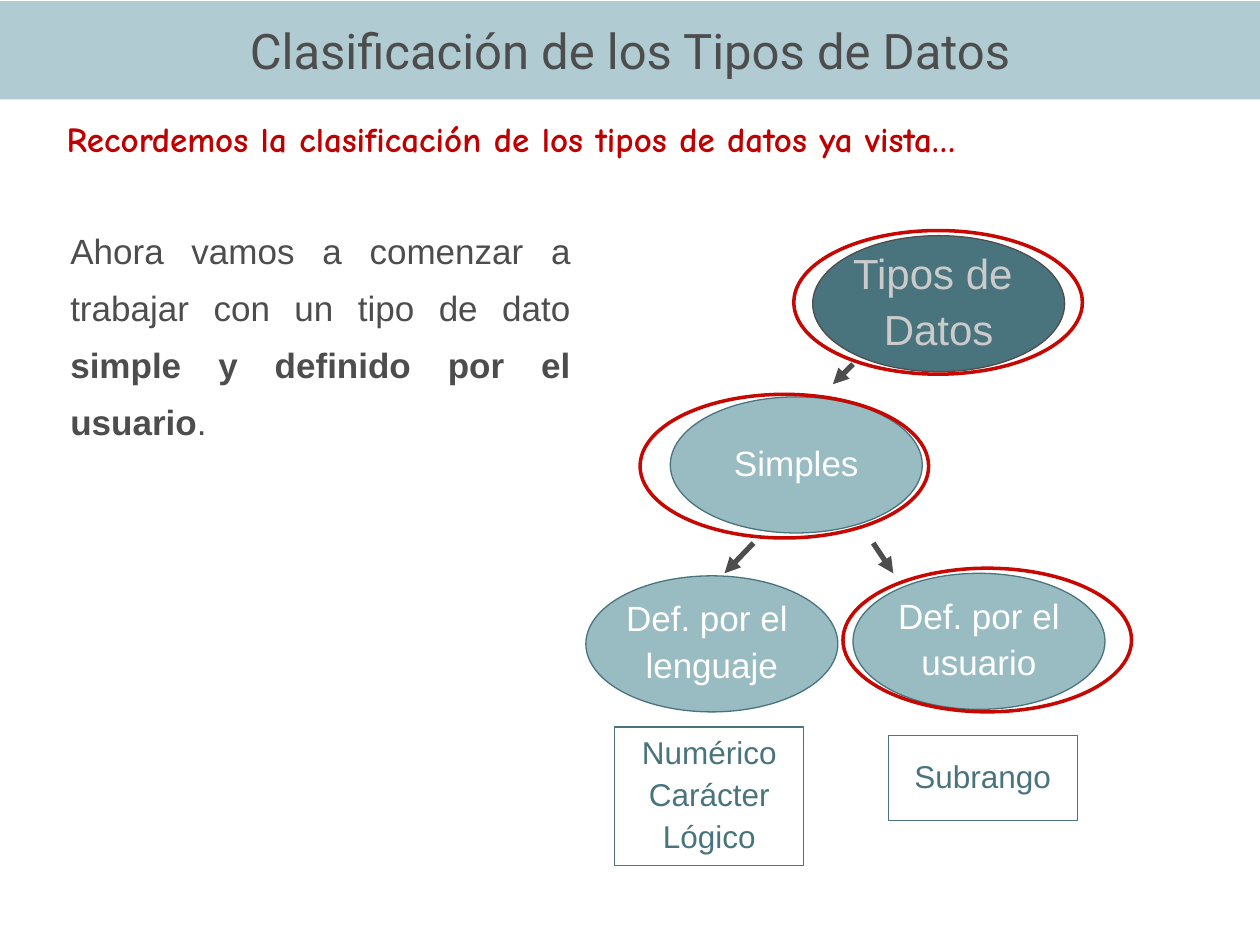
from dataclasses import dataclass

from lxml import etree
from pptx import Presentation
from pptx import util as u
from pptx.dml import color
from pptx.enum import shapes, text
from pptx.oxml import ns

DARK, TEAL, LIGHT, BAND = "4D4D4D", "49747D", "99BCC3", "B0CBD1"
WHITE, GREY, RED, RING_RED = "FFFFFF", "CBCBCB", "C00000", "C60702"
OVAL, RECTANGLE = shapes.MSO_SHAPE.OVAL, shapes.MSO_SHAPE.RECTANGLE
CENTER, JUSTIFY = text.PP_ALIGN.CENTER, text.PP_ALIGN.JUSTIFY


@dataclass
class Box:
    left: float
    top: float
    width: float
    height: float

    def lengths(self) -> list:
        return [u.Inches(v) for v in (self.left, self.top, self.width, self.height)]


@dataclass
class Style:
    size: float
    color: str
    font: str = "Arial"
    align: text.PP_ALIGN = CENTER
    spacing: float = 0.9
    bold: bool = False


@dataclass
class Node:
    box: Box
    lines: list[str]
    style: Style
    fill: str = LIGHT
    line: str = TEAL
    kind: shapes.MSO_SHAPE = OVAL


@dataclass
class Arrow:
    start: tuple[float, float]
    end: tuple[float, float]


def rgb(value: str) -> color.RGBColor:
    return color.RGBColor.from_string(value)


def add_paragraph(paragraph, runs: list[tuple[str, bool]], style: Style,
                  space_before: float):
    paragraph.alignment = style.align
    paragraph.line_spacing = style.spacing
    paragraph.space_before = u.Pt(space_before)
    for words, bold in runs:
        run = paragraph.add_run()
        run.text = words
        run.font.size = u.Pt(style.size)
        run.font.name = style.font
        run.font.bold = bold
        run.font.color.rgb = rgb(style.color)


def add_outline(slide, kind: shapes.MSO_SHAPE, box: Box, fill: str | None,
                line: str | None, width: float = 0.75):
    shape = slide.shapes.add_shape(kind, *box.lengths())
    shape.shadow.inherit = False
    if fill:
        shape.fill.solid()
        shape.fill.fore_color.rgb = rgb(fill)
    else:
        shape.fill.background()
    if line:
        shape.line.color.rgb = rgb(line)
        shape.line.width = u.Pt(width)
    else:
        shape.line.fill.background()
    return shape


def add_node(slide, node: Node):
    shape = add_outline(slide, node.kind, node.box, node.fill, node.line)
    frame = shape.text_frame
    frame.word_wrap = False
    frame.vertical_anchor = text.MSO_ANCHOR.MIDDLE
    for index, line in enumerate(node.lines):
        paragraph = frame.add_paragraph() if index else frame.paragraphs[0]
        add_paragraph(paragraph, [(line, node.style.bold)], node.style,
                      node.style.size / 4)


def add_text(slide, box: Box, runs: list[tuple[str, bool]], style: Style):
    frame = slide.shapes.add_textbox(*box.lengths()).text_frame
    frame.word_wrap = True
    add_paragraph(frame.paragraphs[0], runs, style, style.size / 4)


def add_arrow(slide, arrow: Arrow):
    ends = [u.Inches(v) for v in (*arrow.start, *arrow.end)]
    connector = slide.shapes.add_connector(shapes.MSO_CONNECTOR.STRAIGHT, *ends)
    connector.line.color.rgb = rgb(DARK)
    connector.line.width = u.Pt(3)
    line = connector.line._get_or_add_ln()
    etree.SubElement(line, ns.qn("a:tailEnd"), type="triangle")
    etree.SubElement(connector._element.spPr, ns.qn("a:effectLst"))


def main():
    presentation = Presentation()
    presentation.slide_width, presentation.slide_height = u.Inches(10), u.Inches(7.5)
    slide = presentation.slides.add_slide(presentation.slide_layouts[6])

    # Title band
    title = add_outline(slide, RECTANGLE, Box(0, 0.01, 10, 0.78), BAND, None)
    title.text_frame.vertical_anchor = text.MSO_ANCHOR.MIDDLE
    add_paragraph(title.text_frame.paragraphs[0],
                  [("Clasificación de los Tipos de Datos", False)],
                  Style(28, DARK, "Roboto", spacing=1), 0)

    # Introduction
    add_text(slide, Box(0.43, 0.88, 9.25, 0.57),
             [("Recordemos la clasificación de los tipos de datos ya vista…", True)],
             Style(20, RED, "Comic Neue", JUSTIFY, 1))
    add_text(slide, Box(0.46, 1.66, 4.17, 2.36),
             [("Ahora vamos a comenzar a trabajar con un tipo de dato ", False),
              ("simple y definido por el usuario", True), (".", False)],
             Style(20, DARK, align=JUSTIFY, spacing=1.35))

    # Tree of types, with its examples
    root, branch, example = Style(24, GREY), Style(20, WHITE), Style(18, TEAL)
    nodes = [
        Node(Box(6.45, 1.87, 2, 1.08), ["Tipos de ", "Datos"], root, TEAL, DARK),
        Node(Box(5.32, 3.15, 2, 1.08), ["Simples"], branch),
        Node(Box(4.65, 4.57, 2, 1.08), ["Def. por el ", "lenguaje"], branch),
        Node(Box(6.77, 4.55, 2, 1.08), ["Def. por el", "usuario"], branch),
        Node(Box(4.88, 5.77, 1.5, 1.1), ["Numérico", "Carácter", "Lógico"],
             example, WHITE, kind=RECTANGLE),
        Node(Box(7.05, 5.84, 1.5, 0.67), ["Subrango"], example, WHITE,
             kind=RECTANGLE),
    ]
    for node in nodes:
        add_node(slide, node)

    # Arrows between levels
    for arrow in (Arrow((6.77, 2.89), (6.61, 3.05)),
                  Arrow((5.98, 4.31), (5.75, 4.55)),
                  Arrow((6.93, 4.31), (7.09, 4.55))):
        add_arrow(slide, arrow)

    # Red rings around the chosen route
    for left, top in ((6.3, 1.83), (5.08, 3.13), (6.69, 4.51)):
        add_outline(slide, OVAL, Box(left, top, 2.29, 1.14), None, RING_RED, 2)

    presentation.save("out.pptx")


if __name__ == "__main__":
    main()
